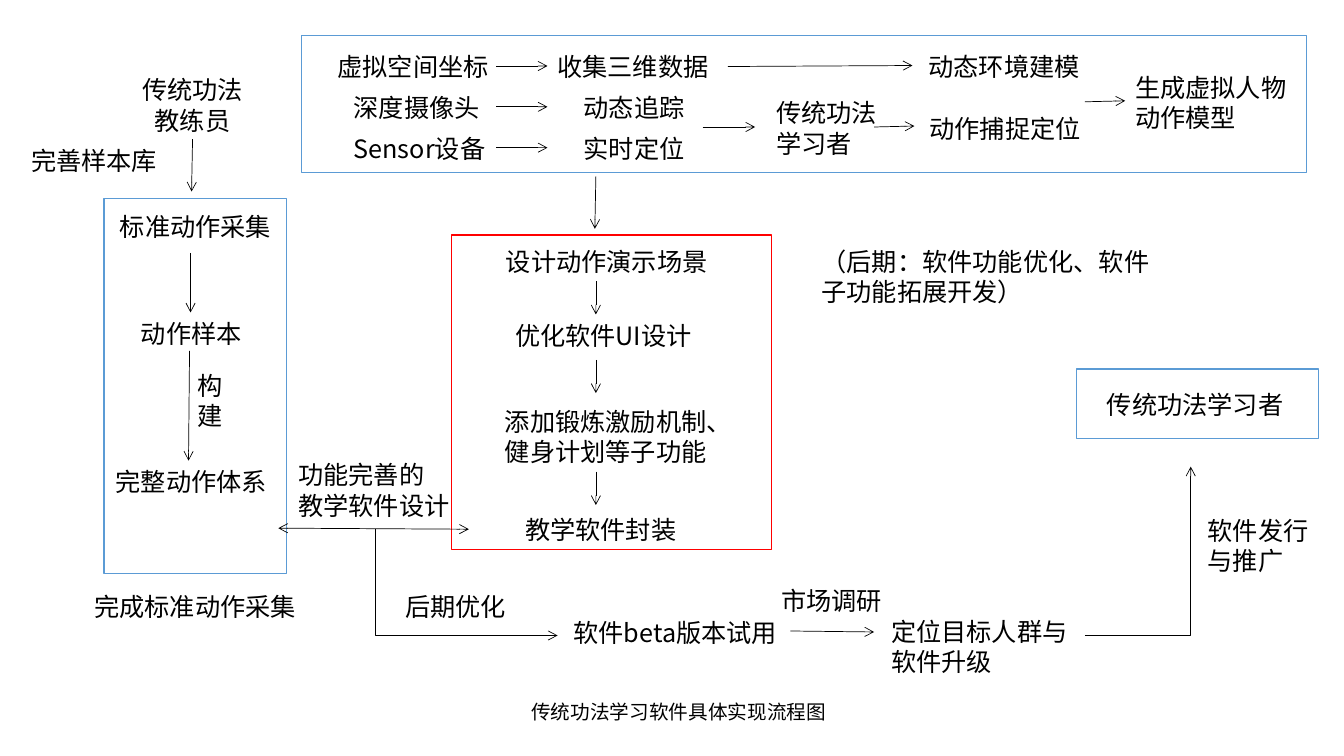
from lxml import etree
from pptx import Presentation, util as u
from pptx.dml.color import RGBColor
from pptx.enum import shapes, text
from pptx.oxml import ns

WIDE, HIGH = 13.33, 7.5
CELL = 0.1  # grid pitch in inches; all places below are columns and rows
FONT = "Noto Sans CJK SC"
HUE = {"ink": "000000", "blue": "5B9BD5", "red": "FF0000"}
LEFT, MID = text.PP_ALIGN.LEFT, text.PP_ALIGN.CENTER

TITLE = ("传统功法学习软件具体实现流程图", 51.7, 68.8, 31.8, 3.4)

# colour, column, row, columns wide, rows high
FRAMES = [
    ("blue", 10.3, 19.7, 18.1, 37.2),
    ("red", 44.8, 23.3, 31.7, 31.2),
    ("blue", 106.8, 36.6, 24, 6.9),
    ("blue", 29.9, 3.5, 99.7, 13.6),
]

# sensing rows: source, its column, result, its column
SENSE = [
    ("虚拟空间坐标", 32.5, "收集三维数据", 54.3),
    ("深度摄像头", 34.1, "动态追踪", 56.9),
    ("Sensor设备", 34.1, "实时定位", 56.9),
]
TOP, STEP, HALF = 4.5, 4.05, 2.05  # first row, row pitch, row middle

# wording (one item per paragraph), column, row, columns wide, alignment
LABELS = [
    (["传统功法", "教练员"], 11.8, 6.8, 14.6, MID),
    (["完善样本库"], 2.1, 13.8, 15.8, LEFT),
    (["标准动作采集"], 10.9, 20.4, 17.5, LEFT),
    (["动作样本"], 13, 31, 12.7, LEFT),
    (["构建"], 18.6, 36.1, 3.8, LEFT),
    (["完整动作体系"], 10.5, 45.7, 19.9, LEFT),
    (["完成标准动作采集"], 5.7, 58.1, 27.3, MID),
    (["传统功法学习者"], 76, 9.1, 12.7, LEFT),
    (["动态环境建模"], 91.1, 4.5, 17.5, LEFT),
    (["动作捕捉定位"], 91.2, 10.6, 17.5, LEFT),
    (["生成虚拟人物动作模型"], 111.6, 6.6, 17.5, LEFT),
    (["设计动作演示场景"], 49.2, 23.8, 23, LEFT),
    (["优化软件UI设计"], 50.1, 31.2, 19.7, LEFT),
    (["添加锻炼激励机制、健身计划等子功能"], 49.1, 39.7, 24.6, LEFT),
    (["教学软件封装"], 51.1, 50.4, 18, LEFT),
    (["（后期：软件功能优化、软件子功能拓展开发）"], 80.5, 23.8, 36, LEFT),
    (["功能完善的", "教学软件设计"], 28.6, 45, 18, LEFT),
    (["后期优化"], 39.2, 58.1, 13, LEFT),
    (["软件beta版本试用"], 55.9, 60.6, 22.5, LEFT),
    (["市场调研"], 76.5, 57.5, 13, LEFT),
    (["定位目标人群与软件升级"], 87.4, 60.5, 21.3, LEFT),
    (["传统功法学习者"], 108.8, 38, 20.2, LEFT),
    (["软件发行", "与推广"], 118.8, 50.5, 13, LEFT),
]

# start column, start row, end column, end row
ARROWS = [
    (69.7, 12.6, 74.9, 12.6),
    (86.7, 12.6, 90.7, 12.5),
    (72.2, 6.6, 90.5, 6.5),
    (107.6, 10.1, 111.6, 10),
    (59.1, 17.5, 59, 22.7),
    (19.1, 13.8, 19, 19),
    (18.9, 25.1, 18.9, 31),
    (18.8, 34.8, 18.7, 45.7),
    (78.4, 62.6, 86.7, 62.7),
]
CHAIN = (59.1, 3.3, [27.9, 35.7, 46.8])  # column, length, start rows
LINK = (46.5, 52.5, 27.6, 52.4)
# each elbow runs level first, then upright
BACK = (55.3, 63.05, 37.25, 52.5)
SHIP = (107.6, 63.05, 118.1, 46.3)

STRAIGHT, ELBOW = shapes.MSO_CONNECTOR.STRAIGHT, shapes.MSO_CONNECTOR.ELBOW


def grid(*cells):
    """Turn grid counts into lengths."""
    return [u.Inches(c * CELL) for c in cells]


def rgb(name):
    """Look up a colour."""
    return RGBColor.from_string(HUE[name])


def write(frame, lines, size, side):
    """Fill a text frame, one run to a paragraph."""
    frame.word_wrap = True
    frame.auto_size = text.MSO_AUTO_SIZE.NONE
    frame.vertical_anchor = text.MSO_ANCHOR.TOP
    frame.margin_left = frame.margin_right = u.Inches(0.1)
    frame.margin_top = u.Inches(0.06)
    frame.margin_bottom = 0
    for i, line in enumerate(lines):
        para = frame.add_paragraph() if i else frame.paragraphs[0]
        para.alignment = side
        para.line_spacing = u.Pt(size * 1.2)
        para.space_before = para.space_after = u.Pt(0)
        run = para.add_run()
        run.text = line
        run.font.size = u.Pt(size)
        run.font.name = FONT
        run.font.color.rgb = rgb("ink")
        face = etree.SubElement(run.font._element, ns.qn("a:ea"))
        face.set("typeface", FONT)


def label(lines, col, row, wide, side=LEFT):
    """Place one text box, high enough for two lines."""
    box = slide.shapes.add_textbox(*grid(col, row, wide, 7.1))
    write(box.text_frame, lines, 18, side)


def arrow(ends, kind=STRAIGHT, tips=("tailEnd",)):
    """Draw one connector with open arrowheads at the given tips."""
    link = slide.shapes.add_connector(kind, *grid(*ends))
    link.line.color.rgb = rgb("ink")
    link.line.width = u.Pt(0.5)
    props = link._element.spPr
    if kind == ELBOW:
        props.find(ns.qn("a:prstGeom")).set("prst", "bentConnector2")
    for tip in tips:
        etree.SubElement(link.line._ln, ns.qn("a:" + tip)).set("type", "arrow")
    etree.SubElement(props, ns.qn("a:effectLst"))


deck = Presentation()
deck.slide_width, deck.slide_height = u.Inches(WIDE), u.Inches(HIGH)
slide = deck.slides.add_slide(deck.slide_layouts[5])

head = slide.shapes.title
head.left, head.top, head.width, head.height = grid(*TITLE[1:])
write(head.text_frame, TITLE[:1], 14, LEFT)

for hue, *place in FRAMES:
    box = slide.shapes.add_shape(shapes.MSO_SHAPE.RECTANGLE, *grid(*place))
    box.shadow.inherit = False
    box.fill.background()
    box.line.color.rgb = rgb(hue)
    box.line.width = u.Pt(1)

for i, (source, near, result, far) in enumerate(SENSE):
    row = TOP + i * STEP
    label([source], near, row, 19)
    label([result], far, row, 18)
    arrow((49.2, row + HALF, 54.3, row + HALF))

for item in LABELS:
    label(*item)
for ends in ARROWS:
    arrow(ends)

col, drop, rows = CHAIN
for row in rows:
    arrow((col, row, col, row + drop))

arrow(LINK, tips=("headEnd", "tailEnd"))
arrow(BACK, ELBOW, ("headEnd",))
arrow(SHIP, ELBOW)

deck.save("out.pptx")
